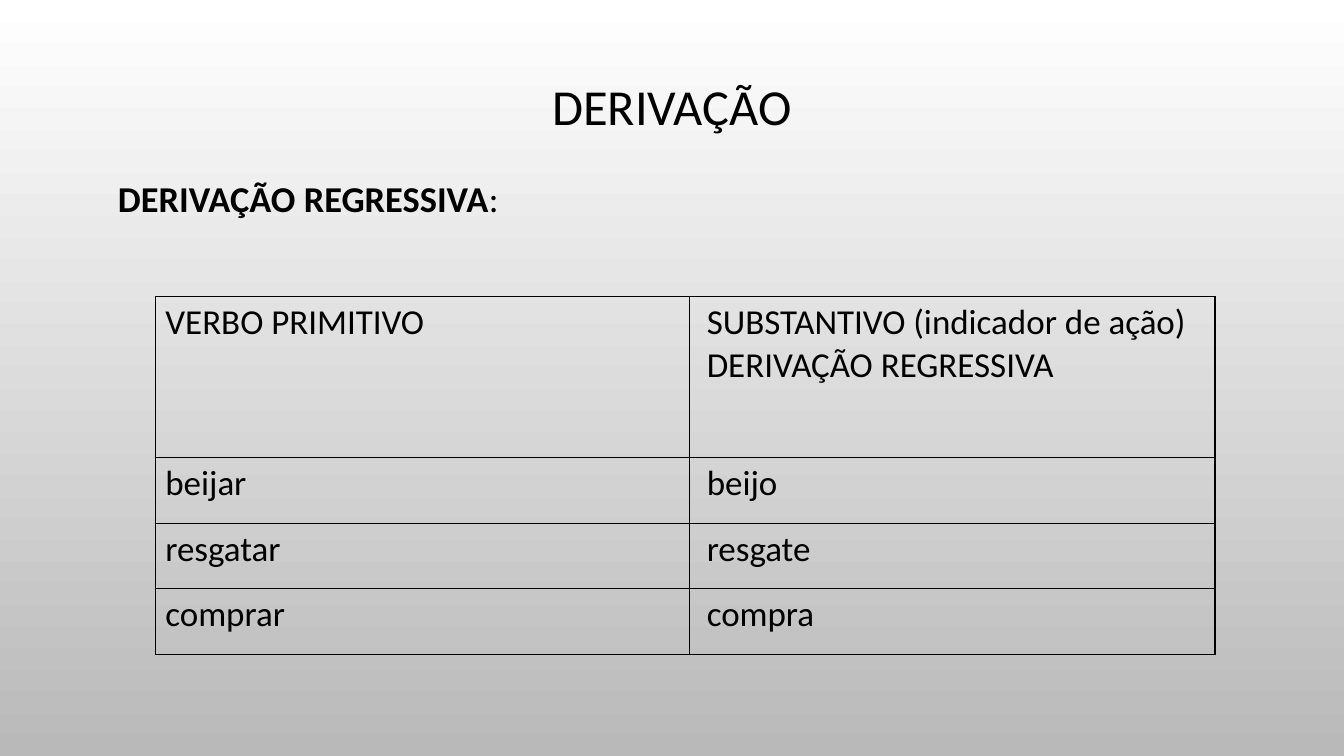
"""Build the slide on regressive derivation."""
from lxml.etree import SubElement
from pptx import Presentation
from pptx.dml.color import RGBColor
from pptx.enum.text import MSO_ANCHOR, PP_ALIGN
from pptx.oxml.ns import qn
from pptx.util import Inches, Pt

COLOURS = {"ink": "000000", "top": "FFFFFF", "bottom": "B9B9B9"}
COLUMN_WIDTHS = [5.3, 5.21]
ROW_HEIGHTS = [1.6, 0.65, 0.65, 0.65]
LEFT_MARGINS = [0.1, 0.17]
VERBS_AND_NOUNS = [
    ("VERBO PRIMITIVO", "SUBSTANTIVO (indicador de ação)\nDERIVAÇÃO REGRESSIVA"),
    ("beijar", "beijo"),
    ("resgatar", "resgate"),
    ("comprar", "compra"),
]


def set_attributes(target, values):
    for name, value in values.items():
        setattr(target, name, value)


def style_font(font, size, bold=False):
    set_attributes(font, {"name": "Calibri", "size": Pt(size), "bold": bold})
    font.color.rgb = RGBColor.from_string(COLOURS["ink"])


def paint_background(slide):
    fill = slide.background.fill
    fill.gradient()
    fill.gradient_angle = 270
    for stop, position, shade in zip(fill.gradient_stops, (0, 1), ("top", "bottom")):
        stop.position = position
        stop.color.rgb = RGBColor.from_string(COLOURS[shade])


def add_title(slide, text):
    title = slide.shapes.title
    set_attributes(title, {"left": Inches(1), "top": Inches(0.68),
                           "width": Inches(11.33), "height": Inches(0.8)})
    frame = title.text_frame
    frame.text = text
    frame.vertical_anchor = MSO_ANCHOR.MIDDLE
    paragraph = frame.paragraphs[0]
    set_attributes(paragraph, {"alignment": PP_ALIGN.CENTER, "line_spacing": 0.9})
    style_font(paragraph.runs[0].font, 36)


def add_subheading(slide, term, ending):
    subheading = slide.shapes.add_textbox(
        Inches(1), Inches(1.61), Inches(11.33), Inches(0.7))
    frame = subheading.text_frame
    set_attributes(frame, {"word_wrap": True, "margin_left": Inches(0.17)})
    paragraph = frame.paragraphs[0]
    paragraph.line_spacing = 1.2
    for text, bold in ((term, True), (ending, False)):
        run = paragraph.add_run()
        run.text = text
        style_font(run.font, 26, bold)


def draw_borders(cell):
    properties = cell._tc.get_or_add_tcPr()
    for index, side in enumerate(("lnL", "lnR", "lnT", "lnB")):
        border = properties.makeelement(qn(f"a:{side}"), {"w": str(Pt(1))})
        properties.insert(index, border)
        solid = SubElement(border, qn("a:solidFill"))
        SubElement(solid, qn("a:srgbClr"), val=COLOURS["ink"])


def fill_cell(cell, text, left_margin):
    cell.text = text
    cell.margin_left = Inches(left_margin)
    cell.fill.background()
    draw_borders(cell)
    for paragraph in cell.text_frame.paragraphs:
        style_font(paragraph.runs[0].font, 25)


def add_derivation_table(slide):
    derivations = slide.shapes.add_table(
        len(ROW_HEIGHTS), len(COLUMN_WIDTHS), Inches(1.54), Inches(2.94),
        Inches(sum(COLUMN_WIDTHS)), Inches(sum(ROW_HEIGHTS))).table
    set_attributes(derivations, {"first_row": False, "horz_banding": False})
    for column, width in zip(derivations.columns, COLUMN_WIDTHS):
        column.width = Inches(width)
    for row, height, words in zip(derivations.rows, ROW_HEIGHTS, VERBS_AND_NOUNS):
        row.height = Inches(height)
        for cell, word, left_margin in zip(row.cells, words, LEFT_MARGINS):
            fill_cell(cell, word, left_margin)


def main():
    presentation = Presentation()
    set_attributes(presentation, {"slide_width": Inches(13.33),
                                  "slide_height": Inches(7.5)})
    slide = presentation.slides.add_slide(presentation.slide_layouts[5])
    paint_background(slide)
    add_title(slide, "DERIVAÇÃO")
    add_subheading(slide, "DERIVAÇÃO REGRESSIVA", ":")
    add_derivation_table(slide)
    presentation.save("out.pptx")


if __name__ == "__main__":
    main()
